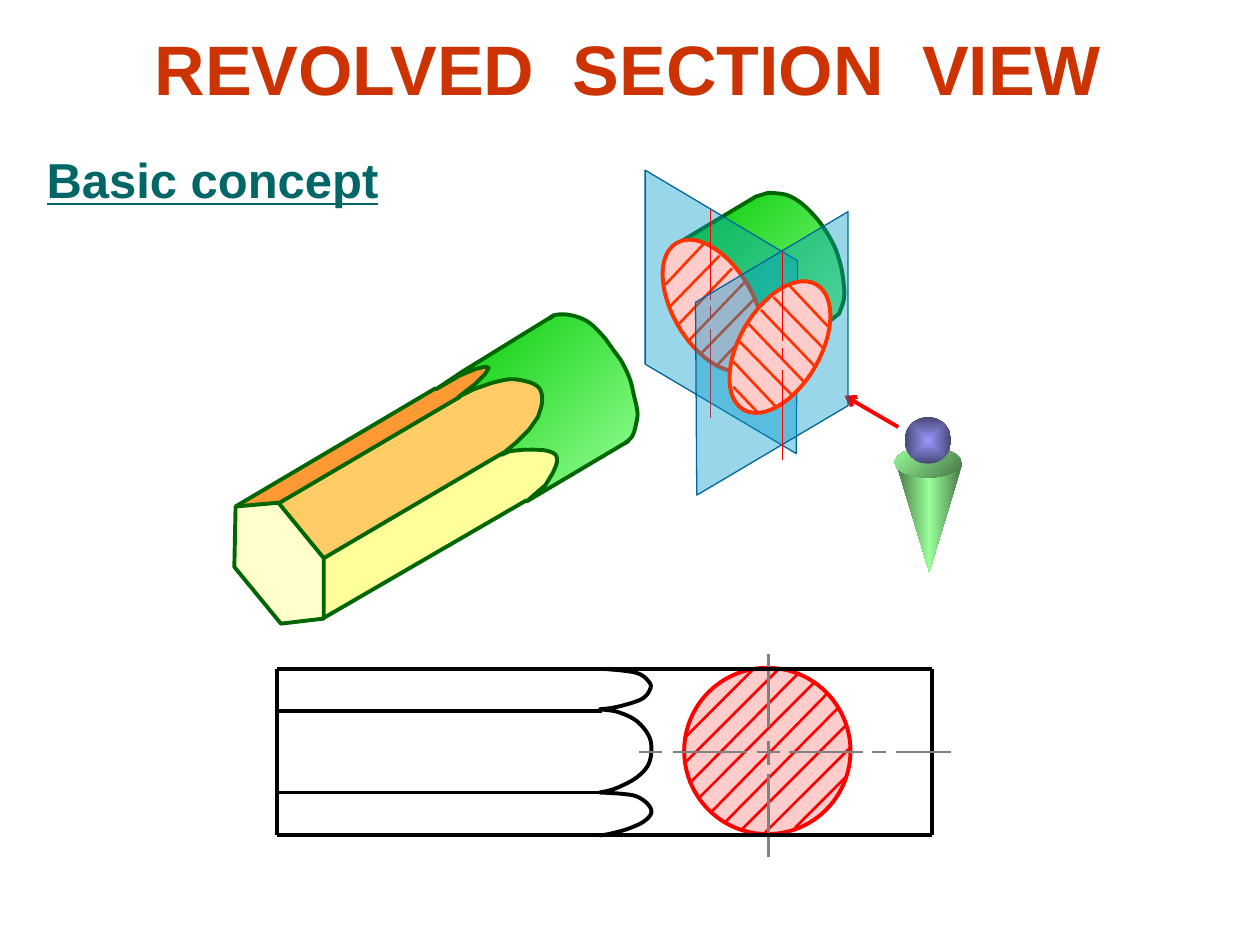
from dataclasses import dataclass
from lxml.etree import SubElement
from pptx import Presentation
from pptx.dml.color import RGBColor
from pptx.enum.shapes import MSO_CONNECTOR, MSO_SHAPE
from pptx.enum.text import MSO_ANCHOR, MSO_AUTO_SIZE, PP_ALIGN
from pptx.oxml import parse_xml
from pptx.oxml.ns import nsdecls, qn
from pptx.util import Pt

RUST = RGBColor(0xCC, 0x33, 0x00)
TEAL = RGBColor(0x00, 0x66, 0x66)
BLACK = RGBColor(0x00, 0x00, 0x00)
GRAY = RGBColor(0x80, 0x80, 0x80)
RED = RGBColor(0xFF, 0x00, 0x00)
VERMILION = RGBColor(0xFF, 0x33, 0x00)
PINK = RGBColor(0xFF, 0xCC, 0xCC)
DARK_GREEN = RGBColor(0x00, 0x66, 0x00)
GREEN = RGBColor(0x00, 0xCC, 0x00)
LIGHT_GREEN = RGBColor(0x99, 0xFF, 0x99)
SHADE_GREEN = RGBColor(0x46, 0x75, 0x46)
VIOLET = RGBColor(0x99, 0x99, 0xFF)
SHADE_VIOLET = RGBColor(0x46, 0x46, 0x75)
PLANE_BLUE = RGBColor(0x00, 0x99, 0xCC)
PLANE_EDGE = RGBColor(0x00, 0x66, 0x99)
ORANGE = RGBColor(0xFF, 0x99, 0x33)
AMBER = RGBColor(0xFF, 0xCC, 0x66)
YELLOW = RGBColor(0xFF, 0xFF, 0x99)
CREAM = RGBColor(0xFF, 0xFF, 0xCC)
UNIT = 0.72


@dataclass
class Box:
    """A drawing area: its corner in points, its content in units of 0.72 points."""
    left: float
    top: float
    mirror_width: float = 0

    def point(self, x, y):
        """Turn local units into a slide position, mirrored when a width is given."""
        x = self.mirror_width - x if self.mirror_width else x
        return Pt(self.left + x * UNIT), Pt(self.top + y * UNIT)


def smooth(nodes, steps=6):
    """Return points on a Catmull-Rom curve through the nodes."""
    padded = [nodes[0], *nodes, nodes[-1]]
    points = [nodes[0]]
    for a, b, c, d in zip(padded, padded[1:], padded[2:], padded[3:]):
        for step in range(1, steps + 1):
            t = step / steps
            points.append(tuple(
                q + t * (r - p) / 2 + t ** 2 * (2 * p - 5 * q + 4 * r - s) / 2
                + t ** 3 * (3 * q - p - 3 * r + s) / 2
                for p, q, r, s in zip(a, b, c, d)))
    return points


def set_gradient(shape, stops, angle=None):
    """Fill with evenly spaced stops, linear at an angle or from the centre."""
    marks = "".join(
        f'<a:gs pos="{100000 * i // (len(stops) - 1)}"><a:srgbClr val="{color}"/></a:gs>'
        for i, color in enumerate(stops))
    course = (f'<a:lin ang="{angle * 60000}" scaled="0"/>' if angle is not None else
              '<a:path path="rect"><a:fillToRect l="50000" t="50000" r="50000" b="50000"/></a:path>')
    properties = shape._element.spPr
    properties.replace(properties.find(qn("a:noFill")), parse_xml(
        f'<a:gradFill {nsdecls("a")}><a:gsLst>{marks}</a:gsLst>{course}</a:gradFill>'))


def style(shape, fill=None, stops=None, angle=None, alpha=None, line=None, width=2.25):
    """Set fill, transparency and outline of a shape."""
    shape.shadow.inherit = False
    shape.fill.background()
    if stops:
        set_gradient(shape, stops, angle)
    elif fill is not None:
        shape.fill.solid()
        shape.fill.fore_color.rgb = fill
    if alpha:
        color = shape._element.spPr.find(qn("a:solidFill"))[0]
        SubElement(color, qn("a:alpha"), val=str(alpha * 1000))
    if line is None:
        shape.line.fill.background()
    else:
        shape.line.color.rgb = line
        shape.line.width = Pt(width)


def add_outline(slide, box, points, close=False, **look):
    """Draw a polygon or an open line through local points."""
    first, *rest = [box.point(*point) for point in points]
    builder = slide.shapes.build_freeform(*first)
    builder.add_line_segments(rest, close=close)
    style(builder.convert_to_shape(), **look)


def add_preset(slide, box, kind, x, y, width, height, rotation=0, **look):
    """Draw a preset shape at a local place."""
    left, top = box.point(x + width if box.mirror_width else x, y)
    shape = slide.shapes.add_shape(kind, left, top, Pt(width * UNIT), Pt(height * UNIT))
    shape.rotation = -rotation if box.mirror_width else rotation
    style(shape, **look)


def add_lines(slide, box, lines, color, width, arrow=False):
    """Draw straight lines given as x1, y1, x2, y2."""
    for x1, y1, x2, y2 in lines:
        connector = slide.shapes.add_connector(
            MSO_CONNECTOR.STRAIGHT, *box.point(x1, y1), *box.point(x2, y2))
        connector.line.color.rgb = color
        connector.line.width = Pt(width)
        if arrow:
            SubElement(connector.line._get_or_add_ln(), qn("a:tailEnd"), type="arrow")
        SubElement(connector._element.spPr, qn("a:effectLst"))


def write_text(shape, text, size, color, underline=False, align=PP_ALIGN.LEFT,
               anchor=MSO_ANCHOR.TOP, wrap=True):
    """Write one bold paragraph into a shape."""
    frame = shape.text_frame
    frame.text = text
    frame.auto_size = MSO_AUTO_SIZE.NONE
    frame.word_wrap = wrap
    frame.vertical_anchor = anchor
    paragraph = frame.paragraphs[0]
    paragraph.alignment = align
    font = paragraph.runs[0].font
    font.name, font.size, font.bold, font.underline = "Arial", Pt(size), True, underline
    font.color.rgb = color


def add_headings(slide):
    """Place the title and the label below it."""
    title = slide.shapes.title
    title.left, title.top, title.width, title.height = Pt(35), Pt(9.5), Pt(648), Pt(58)
    write_text(title, "REVOLVED  SECTION  VIEW", 40, RUST,
               align=PP_ALIGN.CENTER, anchor=MSO_ANCHOR.MIDDLE)
    label = slide.shapes.add_textbox(Pt(19.5), Pt(82), Pt(204), Pt(41))
    write_text(label, "Basic concept", 28, TEAL, underline=True, wrap=False)


def add_front_view(slide, box):
    """Draw the front view with its revolved section."""
    add_preset(slide, box, MSO_SHAPE.OVAL, 343, 30, 132, 132, fill=PINK, line=RED)
    add_lines(slide, box, [
        (431, 157, 472, 116), (406, 162, 475, 93), (389, 158, 471, 76),
        (375, 153, 465, 62), (364, 145, 457, 50), (355, 133, 446, 42),
        (347, 122, 433, 35), (344, 105, 418, 31), (343, 86, 397, 32)], RED, 1.5)
    add_lines(slide, box, [(410, y1, 410, y2) for y1, y2 in
                           [(19, 77), (88, 107), (114, 180)]], GRAY, 1.5)
    add_lines(slide, box, [(20, y, right, y) for y, right in
                           [(31, 540), (64, 278), (129, 278), (163, 540)]], BLACK, 2.25)
    add_lines(slide, box, [(x, 31, x, 163) for x in (20, 540)], BLACK, 2.25)
    top = [(281, 31), (305, 34), (315, 41), (316, 47), (309, 55), (290, 61), (276, 63)]
    middle = [(276, 63), (290, 65), (305, 72), (315, 84), (317, 96), (314, 108),
              (304, 118), (288, 126), (276, 129)]
    bottom = [(276, 129), (293, 130), (305, 132), (314, 138), (317, 145), (311, 152),
              (298, 158), (283, 162), (276, 163)]
    add_outline(slide, box, smooth(top) + smooth(middle) + smooth(bottom), line=BLACK)
    add_lines(slide, box, [(x1, 97, x2, 97) for x1, x2 in
                           [(307, 325), (334, 393), (401, 419), (426, 485),
                            (492, 503), (511, 555)]], GRAY, 1.5)


def add_cut_cylinder(slide, box):
    """Draw the part of the cylinder behind the cutting plane."""
    rim = [(166, 149), (170, 136), (169, 120), (166, 106), (161, 93), (151, 77),
           (138, 63), (125, 55), (110, 53)]
    add_outline(slide, box, [(96, 193), (157, 156), *smooth(rim), (100, 56), (40, 92)],
                stops=[LIGHT_GREEN, GREEN], angle=225, line=DARK_GREEN)


def add_section_plane(slide, box):
    """Draw a cutting plane with its hatched section and axis."""
    add_outline(slide, box, [(120, 225), (0, 154), (0, 0), (121, 72)], close=True,
                fill=PLANE_BLUE, alpha=40, line=PLANE_EDGE, width=0.75)
    add_preset(slide, box, MSO_SHAPE.OVAL, 22, 50, 64, 115, rotation=-30.2,
               fill=PINK, line=VERMILION)
    add_lines(slide, box, [
        (16, 91, 47, 58), (19, 109, 59, 68), (27, 122, 69, 78), (34, 136, 79, 89),
        (45, 145, 86, 103), (57, 155, 91, 119), (71, 160, 91, 139)], VERMILION, 1.5)
    add_lines(slide, box, [(52, y1, 52, y2) for y1, y2 in
                           [(32, 103), (108, 118), (126, 197)]], RED, 1)


def add_viewer(slide, box):
    """Draw the observer and the viewing direction."""
    add_preset(slide, box, MSO_SHAPE.ISOSCELES_TRIANGLE, 61, 67, 53, 87, rotation=180,
               stops=[SHADE_GREEN, LIGHT_GREEN, SHADE_GREEN], angle=180)
    add_preset(slide, box, MSO_SHAPE.OVAL, 60, 55, 53, 24,
               stops=[SHADE_GREEN, LIGHT_GREEN], angle=225)
    add_preset(slide, box, MSO_SHAPE.OVAL, 68, 31, 37, 37, stops=[VIOLET, SHADE_VIOLET])
    add_lines(slide, box, [(63, 39, 20, 14)], RED, 2.25, arrow=True)


def add_pencil(slide, box):
    """Draw the hexagonal bar that turns into a cylinder."""
    faces = [
        (ORANGE, [(122, 199), (286, 102), (290, 90), (280, 88), (254, 103), (88, 201)]),
        (AMBER, [(157, 243), (325, 144), (332, 119), (332, 104), (314, 99), (289, 101),
                 (270, 111), (122, 199)]),
        (YELLOW, [(157, 290), (336, 187), (345, 162), (336, 153), (309, 154), (156, 244)])]
    for color, points in faces:
        add_outline(slide, box, points, close=True, fill=color)
    add_outline(slide, box, [(86, 250), (123, 295), (157, 291), (157, 243), (121, 199),
                             (87, 202)], close=True, fill=CREAM, line=DARK_GREEN)
    add_lines(slide, box, [(156, 291, 318, 197), (157, 243, 300, 159),
                           (122, 199, 265, 115), (87, 202, 246, 108)], DARK_GREEN, 2.25)
    scallops = [
        (247, 108), (266, 97), (278, 92), (286, 90), (289, 91), (286, 96), (278, 104),
        (265, 114), (277, 108),
        *smooth([(291, 103), (306, 100), (320, 102), (328, 106), (331, 112), (331, 120),
                 (328, 130)]),
        (321, 140), (311, 150), (299, 160), (306, 157),
        *smooth([(316, 156), (328, 156), (336, 157), (342, 160), (343, 166), (340, 174)]),
        (334, 184), (327, 190), (319, 197)]
    rim = smooth([(396, 152), (402, 146), (405, 136), (406, 127), (403, 113), (400, 101),
                  (394, 88), (387, 78), (378, 66), (366, 55), (352, 50), (341, 50),
                  (336, 53)])
    add_outline(slide, box, [*rim, (268, 94), *scallops], close=True,
                stops=[LIGHT_GREEN, GREEN], angle=225)
    edge = [(x - 1, y + 1) for x, y in scallops]
    add_outline(slide, box, [(340, 50), (267, 95), *edge, (399, 150)], line=DARK_GREEN)
    add_outline(slide, box, rim, line=DARK_GREEN)


def main():
    """Build the slide and save it."""
    presentation = Presentation()
    presentation.slide_width, presentation.slide_height = Pt(720), Pt(540)
    slide = presentation.slides.add_slide(presentation.slide_layouts[5])
    add_headings(slide)
    add_cut_cylinder(slide, Box(360, 72))
    add_front_view(slide, Box(144, 360))
    add_section_plane(slide, Box(368.64, 97.2))
    add_viewer(slide, Box(468, 216))
    add_pencil(slide, Box(72, 144))
    add_section_plane(slide, Box(397.44, 120.96, mirror_width=121))
    presentation.save("out.pptx")


if __name__ == "__main__":
    main()
